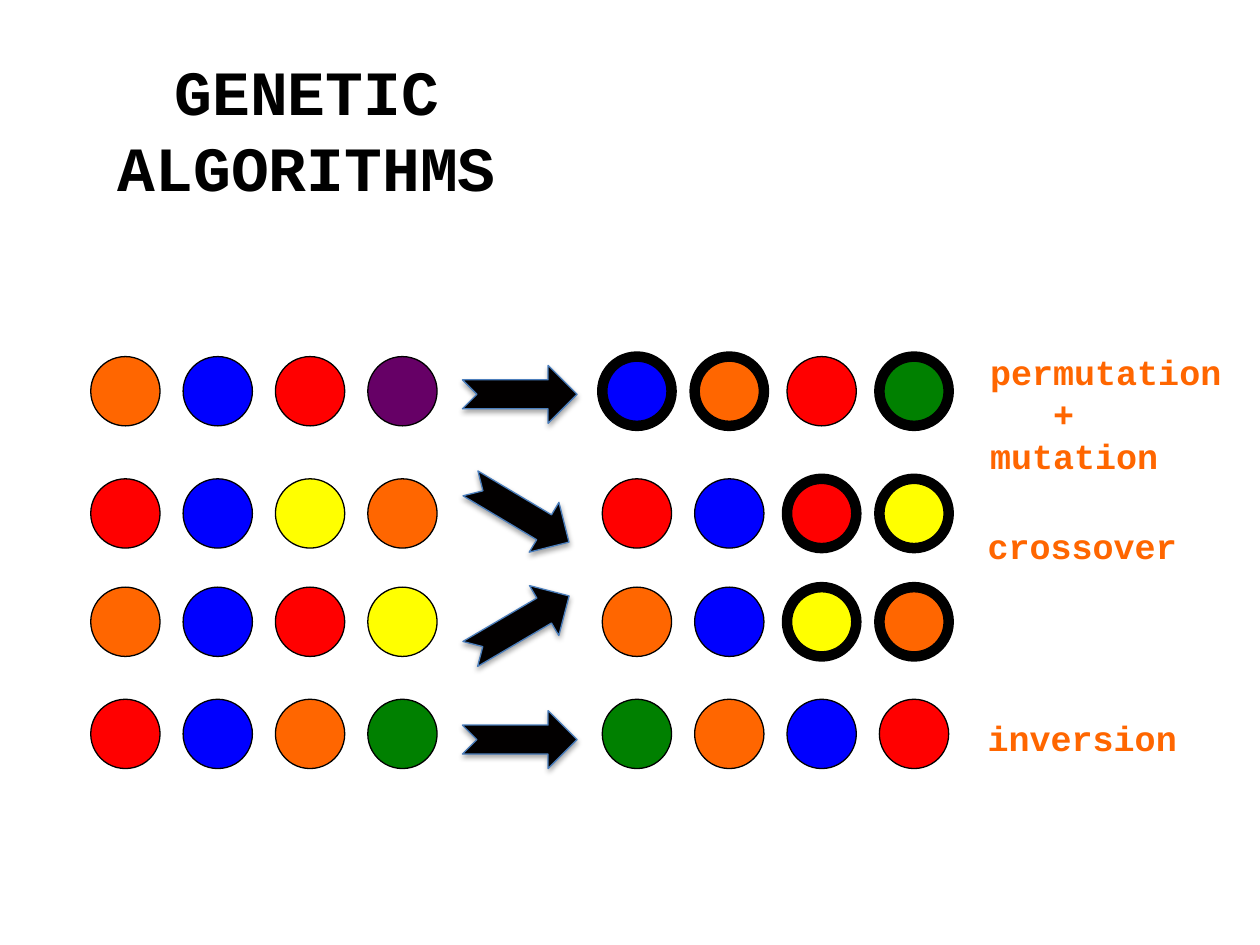
from pptx import Presentation
from pptx import util as u
from pptx.dml.color import RGBColor
from pptx.enum import shapes, text

COLORS = {
    "red": "FF0000", "blue": "0000FF", "yellow": "FFFF00",
    "orange": "FF6600", "green": "008000", "purple": "660066",
    "black": "000000", "arrow": "020000", "arrow edge": "4B7EBC",
}
FONT = "Courier New"
TITLE = "GENETIC\vALGORITHMS"

# top, parent genes, child genes, changed positions, arrow top, arrow rotation
ROWS = [
    (2.83, "orange blue red purple", "blue orange red green", (0, 1, 3), 2.9, 0),
    (3.8, "red blue yellow orange", "red blue red yellow", (2, 3), 3.84, 30.8),
    (4.66, "orange blue red yellow", "orange blue yellow orange", (2, 3), 4.73, 329.6),
    (5.55, "red blue orange green", "green orange blue red", (), 5.64, 0),
]
LABELS = [
    (7.76, 2.73, 1.1, [("permutation", 0), ("+", 0.5), ("mutation", 0)]),
    (7.74, 4.11, 0.44, [("crossover", 0)]),
    (7.74, 5.64, 0.44, [("inversion", 0)]),
]
PARENT_LEFT, CHILD_LEFT, ARROW_LEFT = 0.72, 4.78, 3.67
GENE_SIZE, GENE_STEP = 0.55, 0.733
ARROW_SIZE = (0.91, 0.46)
LABEL_WIDTH = 2.14


def color(name):
    return RGBColor.from_string(COLORS[name])


def style_text(para, size, name):
    for span in para.runs:
        span.font.name = FONT
        span.font.size = u.Pt(size)
        span.font.bold = True
        span.font.color.rgb = color(name)


def add_shape(page, kind, area, fill, edge, weight):
    shape = page.shapes.add_shape(kind, *map(u.Inches, area))
    shape.fill.solid()
    shape.fill.fore_color.rgb = color(fill)
    shape.line.color.rgb = color(edge)
    shape.line.width = u.Pt(weight)
    return shape


def add_genes(page, left, top, genes, changed=()):
    for column, gene in enumerate(genes.split()):
        area = (left + column * GENE_STEP, top, GENE_SIZE, GENE_SIZE)
        weight = 6 if column in changed else 0.75
        circle = add_shape(page, shapes.MSO_SHAPE.OVAL, area, gene, "black", weight)
        circle.shadow.inherit = False


def add_title(page):
    title = page.shapes.title
    title.left, title.top = u.Inches(0), u.Inches(0.37)
    title.width, title.height = u.Inches(4.87), u.Inches(1.31)
    frame = title.text_frame
    frame.text = TITLE
    frame.word_wrap = True
    frame.auto_size = text.MSO_AUTO_SIZE.NONE
    frame.vertical_anchor = text.MSO_ANCHOR.TOP
    frame.paragraphs[0].alignment = text.PP_ALIGN.CENTER
    style_text(frame.paragraphs[0], 36, "black")


def add_label(page, left, top, height, lines):
    box = page.shapes.add_textbox(*map(u.Inches, (left, top, LABEL_WIDTH, height)))
    frame = box.text_frame
    frame.word_wrap = True
    frame.text = "\n".join(line for line, indent in lines)
    for para, (line, indent) in zip(frame.paragraphs, lines):
        if indent:
            para._p.get_or_add_pPr().set("marL", str(u.Inches(indent)))
        style_text(para, 20, "orange")


def main():
    deck = Presentation()
    deck.slide_width, deck.slide_height = u.Inches(10), u.Inches(7.5)
    page = deck.slides.add_slide(deck.slide_layouts[5])
    add_title(page)
    for top, parents, children, changed, arrow_top, rotation in ROWS:
        add_genes(page, PARENT_LEFT, top, parents)
        add_genes(page, CHILD_LEFT, top, children, changed)
        arrow = add_shape(page, shapes.MSO_SHAPE.NOTCHED_RIGHT_ARROW,
                          (ARROW_LEFT, arrow_top, *ARROW_SIZE),
                          "arrow", "arrow edge", 0.75)
        arrow.rotation = rotation
    for label in LABELS:
        add_label(page, *label)
    deck.save("out.pptx")


if __name__ == "__main__":
    main()
